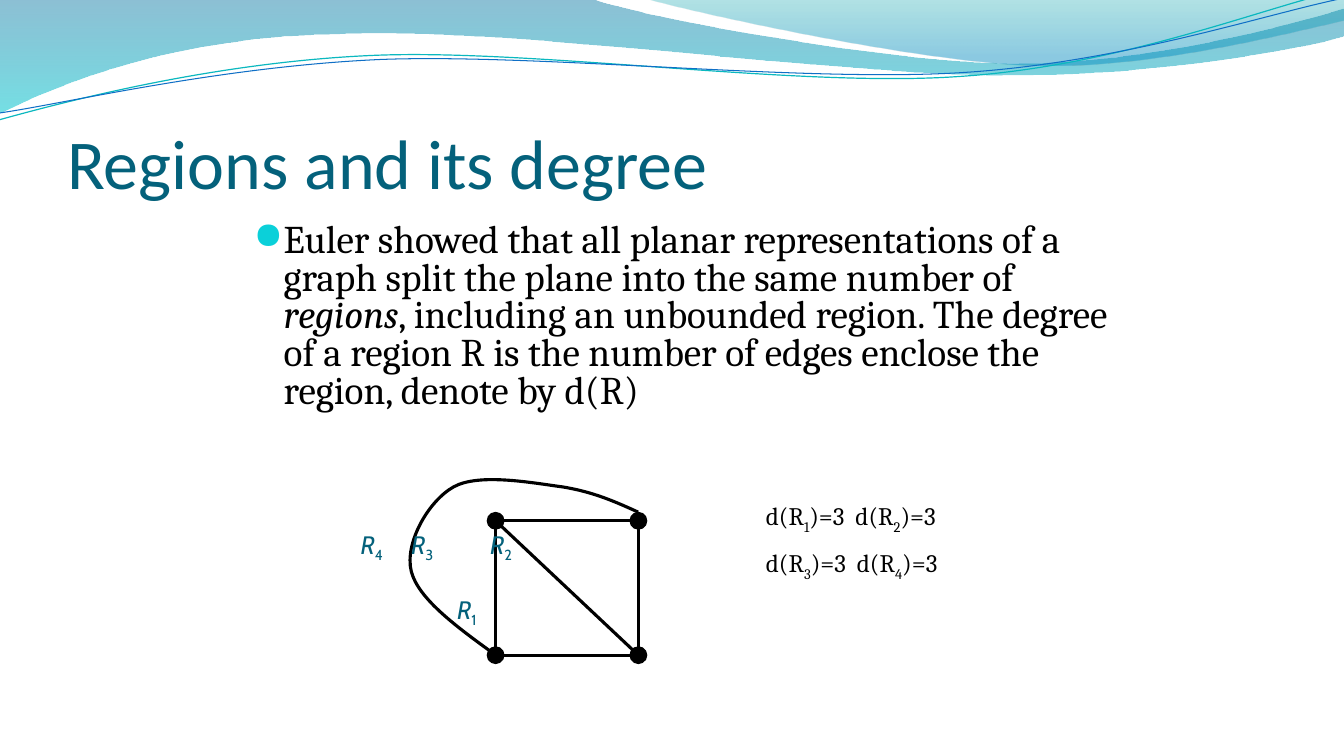
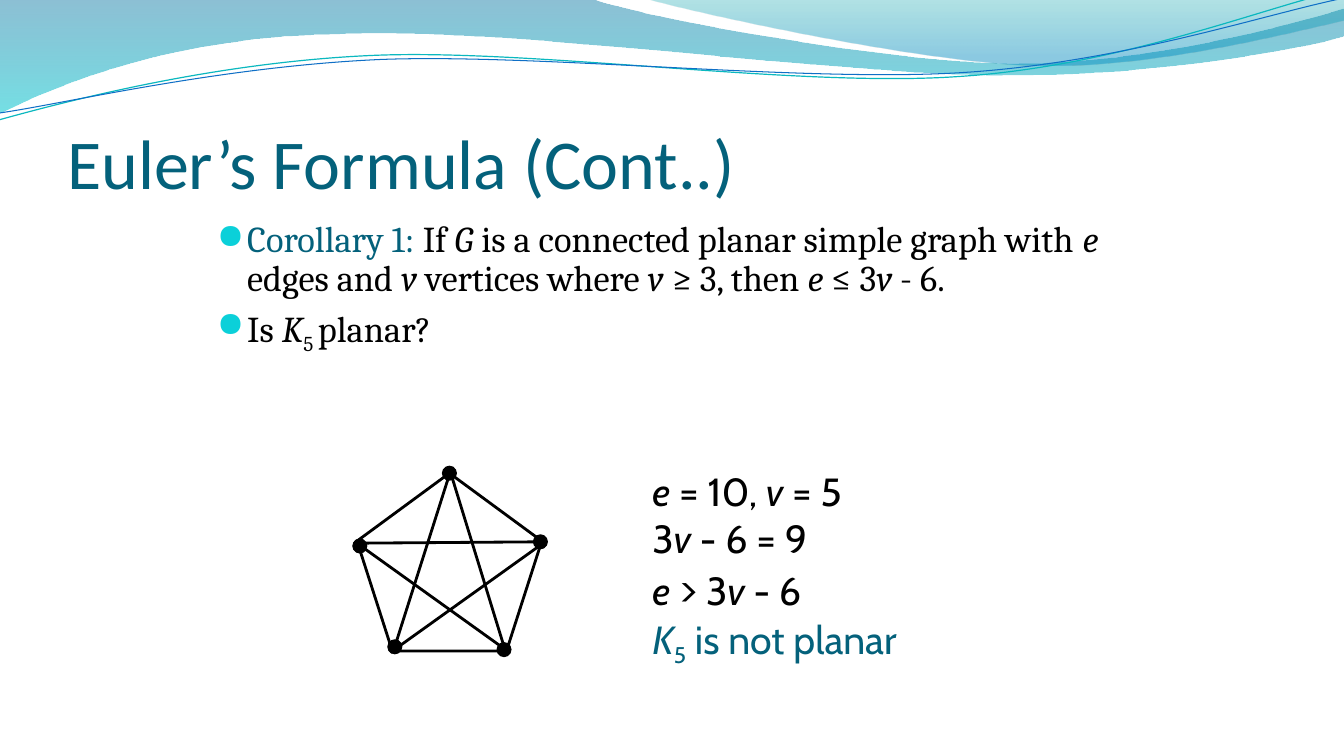
from lxml import etree
from pptx import Presentation
from pptx.dml.color import RGBColor
from pptx.enum.shapes import MSO_CONNECTOR, MSO_SHAPE
from pptx.enum.text import MSO_ANCHOR
from pptx.oxml.ns import qn
from pptx.util import Pt

STRAIGHT = MSO_CONNECTOR.STRAIGHT
OVAL = MSO_SHAPE.OVAL
RECTANGLE = MSO_SHAPE.RECTANGLE
PENTAGON = MSO_SHAPE.REGULAR_PENTAGON
BOTTOM = MSO_ANCHOR.BOTTOM
TOP = MSO_ANCHOR.TOP

COLORS = {
    name: RGBColor.from_string(value)
    for name, value in {
        "black": "000000",
        "accent": "04617B",
        "bullet": "0BD0D9",
        "deep blue": "0074A1",
        "cyan": "00C6CF",
        "teal": "00A1A9",
        "sky": "008BBF",
        "wave teal": "0AB8BF",
        "wave blue": "0F6FC6",
    }.items()
}

ITALIC = {"italic": True}
SUBSCRIPT = {"baseline": -25000}
ACCENT = {"color": "accent"}
TITLE = {"name": "Calibri", "size": Pt(50), "color": "accent"}
BODY = {"name": "Cambria", "color": "black"}
CABIN = {"name": "Cabin", "color": "black"}
DEFAULT_INSETS = (7.2, 3.6, 7.2, 3.6)


def add_path(shapes, start, segments, closed=False):
    points = [
        (Pt(segment[index]), Pt(segment[index + 1]))
        for segment in segments
        for index in range(0, len(segment), 2)
    ]
    builder = shapes.build_freeform(Pt(start[0]), Pt(start[1]))
    builder.add_line_segments(points, close=closed)
    shape = builder.convert_to_shape()
    shape.shadow.inherit = False
    lines = iter(list(shape.element.spPr.iter(qn("a:lnTo"))))
    for segment in segments:
        line = next(lines)
        if len(segment) == 6:
            curve = etree.Element(qn("a:cubicBezTo"))
            line.addprevious(curve)
            for control in (line, next(lines), next(lines)):
                curve.append(control[0])
                control.getparent().remove(control)
    return shape


def add_text(slide, bounds, paragraphs, base, insets=DEFAULT_INSETS, anchor=TOP,
             spacing=None, before=0, bullet=False, tabs=None):
    frame = slide.shapes.add_textbox(*map(Pt, bounds)).text_frame
    frame.word_wrap = True
    frame.vertical_anchor = anchor
    for side, inset in zip(("left", "top", "right", "bottom"), insets):
        setattr(frame, f"margin_{side}", Pt(inset))
    for index, runs in enumerate(paragraphs):
        paragraph = frame.add_paragraph() if index else frame.paragraphs[0]
        if spacing:
            paragraph.line_spacing = spacing
        if index and before:
            paragraph.space_before = Pt(before)
        properties = paragraph._p.get_or_add_pPr()
        if bullet:
            properties.set("marL", str(Pt(21.6)))
            properties.set("indent", str(-Pt(21.6)))
            bullet_color = etree.SubElement(properties, qn("a:buClr"))
            etree.SubElement(bullet_color, qn("a:srgbClr"), val=str(COLORS["bullet"]))
            etree.SubElement(properties, qn("a:buSzPct"), val="95000")
            etree.SubElement(properties, qn("a:buFont"), typeface="OpenSymbol")
            etree.SubElement(properties, qn("a:buChar"), char="●")
        if tabs:
            tab_list = etree.SubElement(properties, qn("a:tabLst"))
            for position in tabs[index]:
                etree.SubElement(tab_list, qn("a:tab"), pos=str(Pt(position)), algn="l")
        for text, changes in runs:
            run = paragraph.add_run()
            run.text = text
            for key, value in {**base, **changes}.items():
                if key == "color":
                    run.font.color.rgb = COLORS[value]
                elif key == "baseline":
                    run._r.get_or_add_rPr().set("baseline", str(value))
                else:
                    setattr(run.font, key, value)


presentation = Presentation()
presentation.slide_width = Pt(960)
presentation.slide_height = Pt(540)
layout = presentation.slide_layouts[6]
regions_slide = presentation.slides.add_slide(layout)
euler_slide = presentation.slides.add_slide(layout)

bands = [
    ((0, 0), [
        (422.6, -0.7),
        (456.5, 12.2, 637.2, 45.4, 727.9, 45.4),
        (819.4, 45.4, 920.2, 18.7, 959.8, 6.5),
        (961.2, 25.9),
        (943.9, 31.7, 835.2, 54.7, 715.7, 54),
        (596.9, 54, 366.5, 20.2, 247, 24.5),
        (123.8, 25.9, 43.9, 59.8, -0.7, 81.4),
    ], [("deep blue", 0, 45), ("cyan", 1, 55)]),
    ((460.1, -0.7), [
        (488.9, 7.9, 654.5, 44.6, 738, 46.8),
        (821.5, 49.7, 923, 23, 959.8, 15.1),
        (959.8, 0),
    ], [("teal", 0, 30), ("sky", 0.8, 45)]),
]
for start, segments, stops in bands:
    band = add_path(regions_slide.shapes, start, segments, closed=True)
    band.line.fill.background()
    band.fill.gradient()
    band.fill.gradient_angle = 270
    for stop, (color, position, opacity) in zip(band.fill.gradient_stops, stops):
        stop.color.rgb = COLORS[color]
        stop.position = position
    for element, (color, position, opacity) in zip(band.element.spPr.iter(qn("a:srgbClr")), stops):
        etree.SubElement(element, qn("a:alpha"), val=str(opacity * 1000))
    layout.shapes.element.append(band.element)

waves = [
    ((-2.2, 63), [
        (45.1, 52.3, 152.1, 29.2, 266, 29.6),
        (379.9, 29.9, 567.7, 66.9, 683.1, 64.4),
        (798.6, 62.6, 902.7, 25.7, 960.1, 15.5),
    ], "wave teal", 0.85),
    ((-1.3, 58), [
        (44.4, 53.7, 157.1, 32.3, 272.4, 32.7),
        (386.9, 33.8, 572.3, 63.4, 687, 61.6),
        (802.4, 59.8, 904.7, 30, 962.1, 21.2),
    ], "wave blue", 0.75),
]
for start, segments, color, width in waves:
    wave = add_path(regions_slide.shapes, start, segments)
    wave.rotation = 357.3
    wave.fill.background()
    wave.line.color.rgb = COLORS[color]
    wave.line.width = Pt(width)
    layout.shapes.element.append(wave.element)

titles = [(regions_slide, "Regions and its degree"), (euler_slide, "Euler’s Formula (Cont..)")]
for slide, title in titles:
    add_text(slide, (48, 55.5, 864, 90), [[(title, {})]], TITLE,
             insets=(0, 3.6, 0, 0), anchor=BOTTOM)

add_text(regions_slide, (174, 156, 624, 152), [[
    ("Euler showed that all planar representations of a graph split the plane "
     "into the same number of ", {}),
    ("regions", ITALIC),
    (", including an unbounded region. The degree of a region R is the number of edges "
     "enclose the region, denote by d(R)", {}),
]], {**BODY, "size": Pt(28)}, spacing=0.8, bullet=True)

add_text(euler_slide, (155, 154.5, 654, 155), [
    [
        ("Corollary 1:", ACCENT), (" If ", {}), ("G", ITALIC),
        (" is a connected planar simple graph with ", {}), ("e", ITALIC),
        (" edges and ", {}), ("v", ITALIC), (" vertices where ", {}), ("v ", ITALIC),
        ("≥ 3, then ", {}), ("e", ITALIC), (" ≤ 3", {}), ("v", ITALIC), (" - 6.", {}),
    ],
    [("Is ", {}), ("K", ITALIC), ("5 ", SUBSCRIPT), ("planar?", {})],
], {**BODY, "size": Pt(26)}, insets=(0, 3.6, 0, 3.6), spacing=0.9, before=5, bullet=True)

square_corners = [(354, 372), (456, 372), (456, 468), (354, 468)]
pentagon_corners = [(321, 338), (386, 387), (360, 464), (282, 462), (257, 390)]
square_diagonals = [(354, 372, 456, 468)]
pentagon_diagonals = [
    (255, 388, 361, 464),
    (256, 388, 389, 387),
    (321, 339, 281, 465),
    (322, 338, 361, 465),
    (388, 388, 279, 466),
]
graphs = [
    (regions_slide, RECTANGLE, (354, 372, 102, 96), square_corners, square_diagonals, 12, 2.25),
    (euler_slide, PENTAGON, (255, 338, 132, 127), pentagon_corners, pentagon_diagonals, 10, 2),
]
for slide, kind, bounds, corners, diagonals, diameter, width in graphs:
    outline = slide.shapes.add_shape(kind, *map(Pt, bounds))
    outline.shadow.inherit = False
    outline.fill.background()
    outline.line.color.rgb = COLORS["black"]
    outline.line.width = Pt(width)
    for ends in diagonals:
        edge = slide.shapes.add_connector(STRAIGHT, *map(Pt, ends))
        edge.line.color.rgb = COLORS["black"]
        edge.line.width = Pt(width)
        etree.SubElement(edge.element.spPr, qn("a:effectLst"))
    for x, y in corners:
        vertex = slide.shapes.add_shape(
            OVAL, Pt(x - diameter / 2), Pt(y - diameter / 2), Pt(diameter), Pt(diameter))
        vertex.shadow.inherit = False
        vertex.fill.solid()
        vertex.fill.fore_color.rgb = COLORS["black"]
        vertex.line.color.rgb = COLORS["black"]
        vertex.line.width = Pt(0.75)

outer_edge = add_path(regions_slide.shapes, (455.8, 365.8), [
    (439.9, 358.6, 424.1, 351.4, 401.8, 347.8),
    (380.2, 344.9, 342, 337.7, 324, 347.8),
    (306, 357.8, 288.7, 388.1, 293.8, 408.2),
    (298.8, 427.7, 326.2, 447.8, 354.2, 468),
])
outer_edge.fill.background()
outer_edge.line.color.rgb = COLORS["black"]
outer_edge.line.width = Pt(2.25)

add_text(regions_slide, (250.5, 374.4, 153.5, 73), [
    [("R", ITALIC), ("4", SUBSCRIPT), ("\t", {}), ("R", ITALIC), ("3", SUBSCRIPT),
     ("\t", {}), ("R", ITALIC), ("2", SUBSCRIPT)],
    [("\t", {}), ("R", ITALIC), ("1", SUBSCRIPT)],
], {**CABIN, **ACCENT, "size": Pt(18)}, before=22, tabs=[(36, 92.5), (69,)])

degree_rows = [
    [("d(R", {}), (left, SUBSCRIPT), (")=3\td(R", {}), (right, SUBSCRIPT), (")=3", {})]
    for left, right in ("12", "34")
]
add_text(regions_slide, (540, 354, 252, 94), degree_rows, {**BODY, "size": Pt(18)},
         before=9, tabs=[(64,), (65,)])

add_text(euler_slide, (459, 330, 241, 146), [
    [("e", ITALIC), (" = 10, ", {}), ("v", ITALIC), (" = 5", {})],
    [("3", {}), ("v", ITALIC), (" - 6 = 9", {})],
    [("e ", ITALIC), (">", {"size": Pt(32)}), (" 3", {}), ("v", ITALIC), (" - 6", {})],
    [("K", {**ACCENT, **ITALIC}), ("5", {**ACCENT, **SUBSCRIPT}), (" is not planar", ACCENT)],
], {**CABIN, "size": Pt(28)})

presentation.save("out.pptx")
